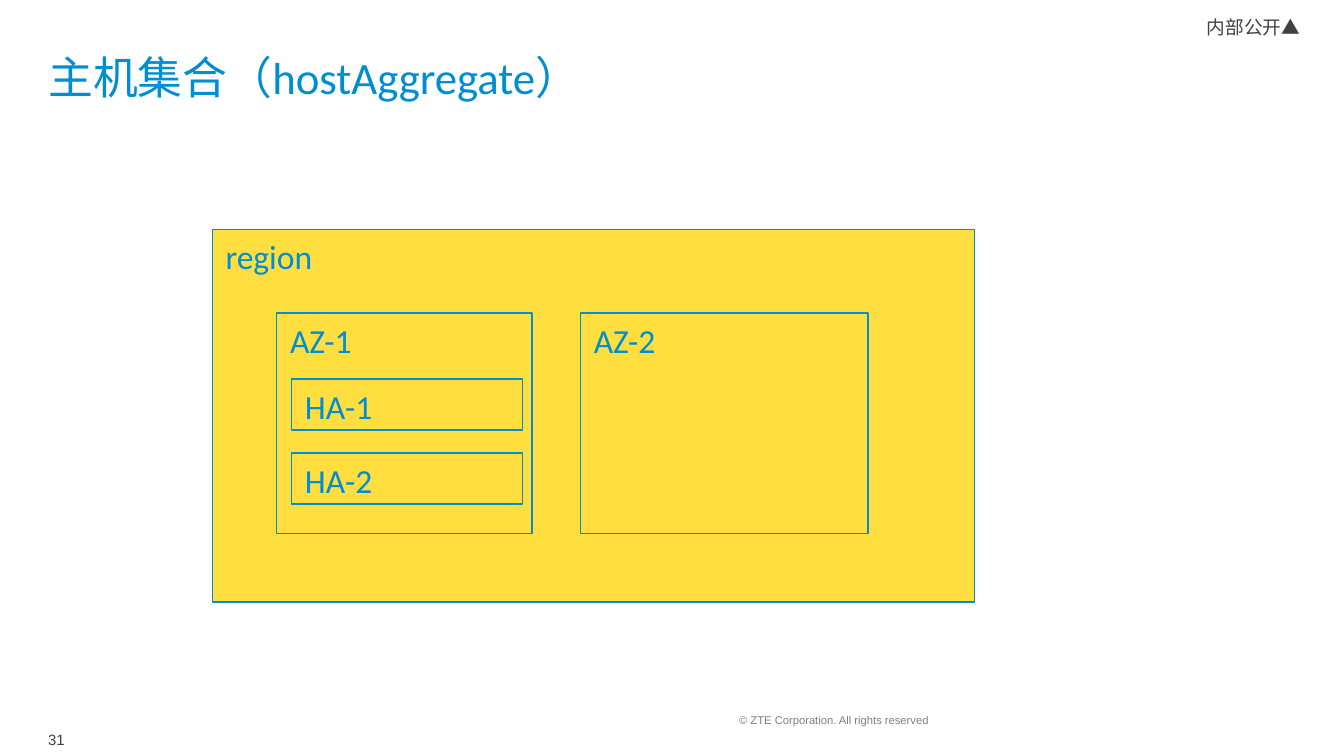
from lxml import etree
from pptx import Presentation
from pptx.dml.color import RGBColor
from pptx.enum import shapes, text
from pptx.oxml import ns
from pptx.util import Inches, Pt

BLUE = RGBColor(0x00, 0x8E, 0xD3)
YELLOW = RGBColor(0xFF, 0xDE, 0x40)
DARK = RGBColor(0x40, 0x40, 0x40)
GRAY = RGBColor(0x7F, 0x7F, 0x7F)
CJK = "Noto Sans CJK SC"

# Content: label, left, top, width, height, font, size, colour
TITLE = ("主机集合（hostAggregate）", 0.36, 0.37, 9.31, 0.79, "Calibri", 24, BLUE)
COPYRIGHT = ("© ZTE Corporation. All rights reserved", 5.5, 5.31, 2.4, 0.19, "Arial", 6, GRAY)
SECRECY = ("内部公开▲", 8.98, 0.12, 0.85, 0.25, CJK, 10, DARK)
PAGE_NUMBER = ("31", 0.26, 5.3, 0.46, 0.4, "Arial", 8, DARK)

REGION = ("region", 1.58, 1.71, 5.67, 2.77)
ZONE_TOP, ZONE_HEIGHT = 2.33, 1.64
ZONES = [("AZ-1", 2.06, 1.9), ("AZ-2", 4.32, 2.14)]  # label, left, width
AGGREGATES = ["HA-1", "HA-2"]
AGGREGATE_LEFT, AGGREGATE_TOP, AGGREGATE_STEP = 2.17, 2.82, 0.55
AGGREGATE_WIDTH, AGGREGATE_HEIGHT = 1.72, 0.38


def write(frame, label, font, size, colour):
    frame.word_wrap = True
    paragraph = frame.paragraphs[0]
    paragraph.text = label
    paragraph.alignment = text.PP_ALIGN.LEFT
    paragraph.font.name = font
    paragraph.font.size = Pt(size)
    paragraph.font.color.rgb = colour
    latin = paragraph.font._element.find(ns.qn("a:latin"))
    latin.addnext(etree.Element(ns.qn("a:ea"), typeface=CJK))


def add_label(label, left, top, width, height, font, size, colour):
    frame = slide.shapes.add_textbox(
        Inches(left), Inches(top), Inches(width), Inches(height)).text_frame
    write(frame, label, font, size, colour)
    return frame


def add_block(label, left, top, width, height):
    block = slide.shapes.add_shape(
        shapes.MSO_SHAPE.RECTANGLE,
        Inches(left), Inches(top), Inches(width), Inches(height))
    block.shadow.inherit = False
    block.fill.solid()
    block.fill.fore_color.rgb = YELLOW
    block.line.color.rgb = BLUE
    block.line.width = Pt(0.75)
    block.text_frame.vertical_anchor = text.MSO_ANCHOR.TOP
    write(block.text_frame, label, "Calibri", 18, BLUE)


# Widescreen 16:9 slide
deck = Presentation()
deck.slide_width = Inches(10)
deck.slide_height = Inches(10) * 9 // 16
slide = deck.slides.add_slide(deck.slide_layouts[6])

# Footer, secrecy mark and title
for label in (COPYRIGHT, SECRECY, TITLE):
    frame = add_label(*label)
    frame.margin_left = frame.margin_right = frame.margin_top = frame.margin_bottom = 0
add_label(*PAGE_NUMBER).vertical_anchor = text.MSO_ANCHOR.MIDDLE

# Region, its availability zones, and the host aggregates of the first zone
add_block(*REGION)
for zone, left, width in ZONES:
    add_block(zone, left, ZONE_TOP, width, ZONE_HEIGHT)
for row, aggregate in enumerate(AGGREGATES):
    add_block(aggregate, AGGREGATE_LEFT, AGGREGATE_TOP + row * AGGREGATE_STEP,
              AGGREGATE_WIDTH, AGGREGATE_HEIGHT)

deck.save("out.pptx")
